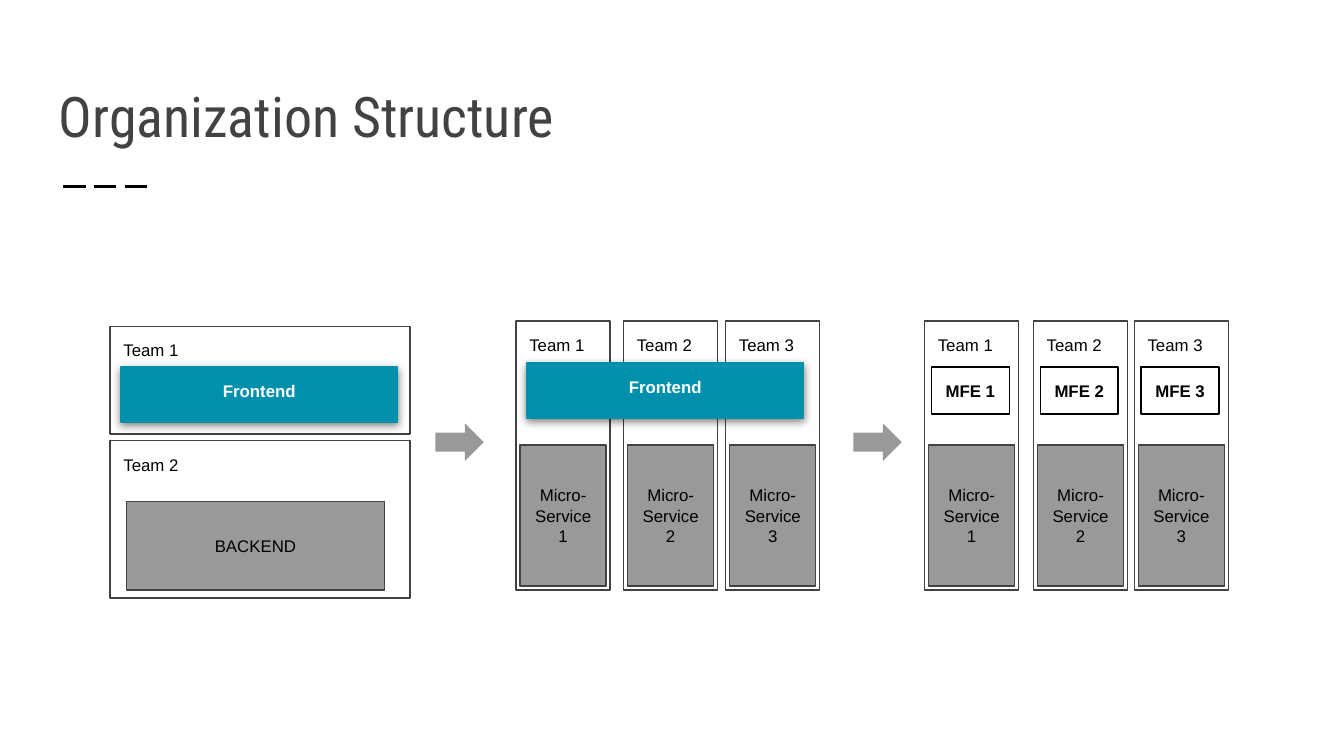
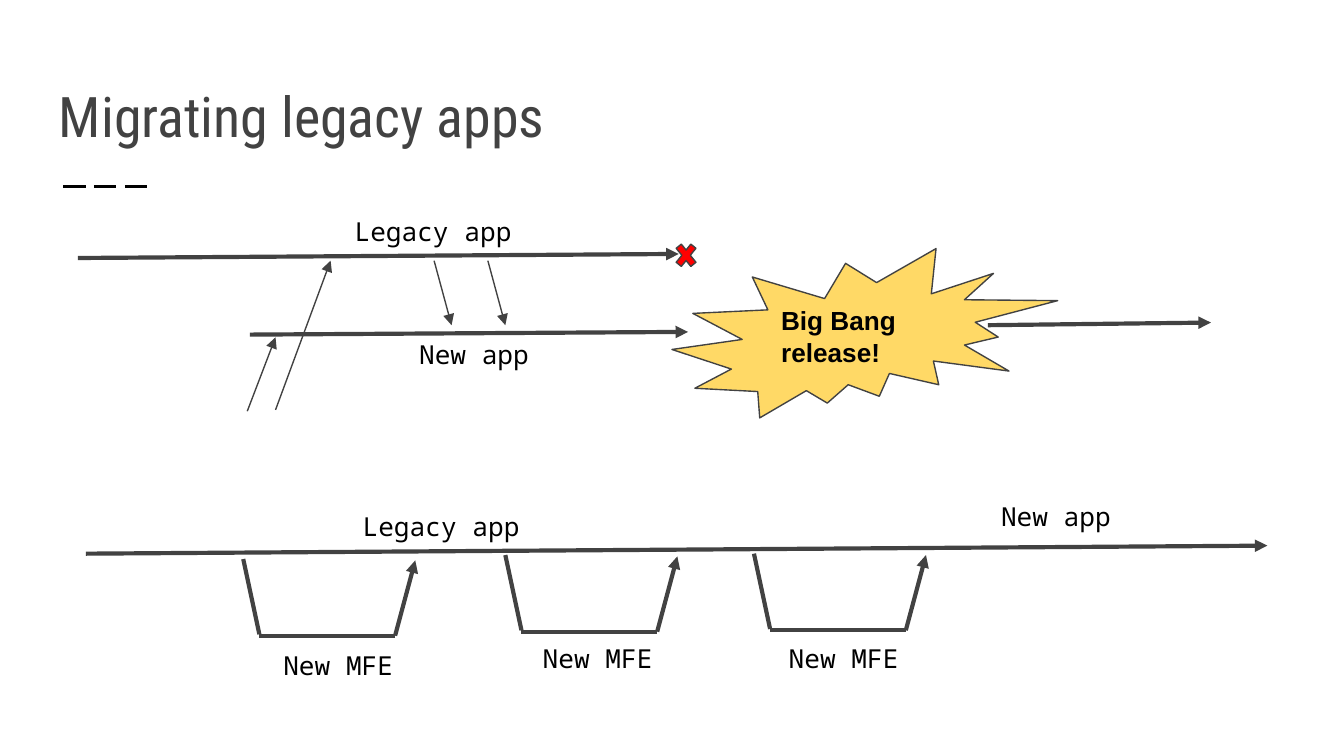
"""Build two slides on team organization and the migration of legacy apps."""
from lxml import etree
from pptx import Presentation
from pptx import util as u
from pptx.dml.color import RGBColor
from pptx.enum import dml, shapes, text
from pptx.oxml.ns import qn

PX = 9144
BLACK = RGBColor(0x00, 0x00, 0x00)
WHITE = RGBColor(0xFF, 0xFF, 0xFF)
DARK = RGBColor(0x42, 0x42, 0x42)
GRAY = RGBColor(0x99, 0x99, 0x99)
TEAL = RGBColor(0x00, 0x90, 0xAC)
YELLOW = RGBColor(0xFF, 0xD9, 0x66)
RED = RGBColor(0xFF, 0x00, 0x00)
BODY, MONO, HEADING = "Arial", "Noto Sans Mono", "Roboto Condensed"
SHAPE = shapes.MSO_SHAPE
TOP, MIDDLE, BOTTOM = (text.MSO_ANCHOR.TOP, text.MSO_ANCHOR.MIDDLE,
                       text.MSO_ANCHOR.BOTTOM)
LEFT, CENTER = text.PP_ALIGN.LEFT, text.PP_ALIGN.CENTER


def emu(*lengths):
    return [u.Emu(n * PX) for n in lengths]


def write(sp, content, size=9, font=BODY, color=BLACK, bold=False,
          align=LEFT, anchor=TOP):
    tf = sp.text_frame
    tf.word_wrap = True
    tf.vertical_anchor = anchor
    tf.margin_left = tf.margin_right = tf.margin_top = tf.margin_bottom = u.Emu(10 * PX)
    for i, line in enumerate(content.split("\n")):
        p = tf.add_paragraph() if i else tf.paragraphs[0]
        p.alignment = align
        r = p.add_run()
        r.text = line
        r.font.size = u.Pt(size)
        r.font.name = font
        r.font.bold = bold
        r.font.color.rgb = color


def add_shape(s, kind, box, fill, line=None):
    sp = s.shapes.add_shape(kind, *emu(*box))
    sp.shadow.inherit = False
    sp.fill.solid()
    sp.fill.fore_color.rgb = fill
    if line is None:
        sp.line.fill.background()
    else:
        sp.line.color.rgb = line
        sp.line.width = u.Pt(0.75)
    return sp


def add_box(s, box, content, fill=WHITE, line=DARK, **style):
    sp = add_shape(s, SHAPE.RECTANGLE, box, fill, line)
    write(sp, content, **style)
    return sp


def add_label(s, x, y, w, content):
    sp = s.shapes.add_textbox(*emu(x, y, w, 44))
    write(sp, content, size=14, font=MONO)
    sp.text_frame.auto_size = text.MSO_AUTO_SIZE.SHAPE_TO_FIT_TEXT


def add_line(s, start, end, width=2.25, color=DARK, arrow=True):
    cn = s.shapes.add_connector(shapes.MSO_CONNECTOR.STRAIGHT, *emu(*start, *end))
    cn.line.color.rgb = color
    cn.line.width = u.Pt(width)
    etree.SubElement(cn._element.spPr, qn("a:effectLst"))
    if arrow:
        etree.SubElement(cn.line._get_or_add_ln(), qn("a:tailEnd"), type="triangle")
    return cn


def add_slide(prs, title):
    s = prs.slides.add_slide(prs.slide_layouts[6])
    rule = add_line(s, (47, 139), (114, 139), 1.5, BLACK, arrow=False)
    rule.line.dash_style = dml.MSO_LINE.LONG_DASH
    sp = s.shapes.add_textbox(*emu(34, 41, 932, 80))
    write(sp, title, size=30, font=HEADING, color=DARK, anchor=BOTTOM)
    return s


def add_frontend(s, x, y):
    sp = add_box(s, (x, y, 206, 41), "Frontend", TEAL, TEAL,
                 color=WHITE, bold=True, align=CENTER)
    effects = sp._element.spPr.find(qn("a:effectLst"))
    shadow = etree.SubElement(effects, qn("a:outerShdw"), blurRad=str(u.Pt(4.5)),
                              dist=str(u.Pt(1.5)), dir="5400000", algn="bl",
                              rotWithShape="0")
    tint = etree.SubElement(shadow, qn("a:srgbClr"), val=str(BLACK))
    etree.SubElement(tint, qn("a:alpha"), val="50000")


def add_teams(s, columns, services):
    for n, (x, service) in enumerate(zip(columns, services), 1):
        add_box(s, (x, 239, 70, 200), f"Team {n}")
        add_box(s, (x + 3, 331, 64, 105), service, GRAY, align=CENTER, anchor=MIDDLE)


def add_detour(s, x, y):
    add_line(s, (x, y), (x + 12, y + 56), arrow=False)
    add_line(s, (x + 12, y + 57), (x + 113, y + 57), arrow=False)
    add_line(s, (x + 113, y + 57), (x + 128, y + 1))


def organization_slide(prs):
    s = add_slide(prs, "Organization Structure")
    add_box(s, (82, 243, 223, 80), "Team 1")
    add_box(s, (82, 328, 223, 117), "Team 2")
    add_box(s, (94, 373, 192, 66), "BACKEND", GRAY, align=CENTER, anchor=MIDDLE)
    add_frontend(s, 90, 273)

    services = [f"Micro-\nService\n{n}" for n in (1, 2, 3)]
    add_teams(s, (384, 464, 540), ["Micro-\nService 1"] + services[1:])
    add_frontend(s, 392, 270)

    mfe_columns = (688, 769, 844)
    add_teams(s, mfe_columns, services)
    for n, x in enumerate(mfe_columns, 1):
        add_box(s, (x + 5, 273, 58, 35), f"MFE {n}", line=BLACK,
                bold=True, align=CENTER, anchor=MIDDLE)

    for x in (324, 635):
        add_shape(s, SHAPE.RIGHT_ARROW, (x, 315, 36, 28), GRAY)


def migration_slide(prs):
    s = add_slide(prs, "Migrating legacy apps")
    add_line(s, (58, 192), (505, 189))
    add_line(s, (186, 249), (512, 247))
    add_label(s, 254, 150, 150, "Legacy app")
    add_label(s, 302, 242, 134, "New app")
    burst = add_shape(s, SHAPE.EXPLOSION2, (500, 185, 287, 126), YELLOW, DARK)
    write(burst, "Big Bang release!", size=14, bold=True, anchor=MIDDLE)
    add_line(s, (735, 242), (901, 240))
    cross = add_shape(s, SHAPE.MATH_MULTIPLY, (500, 177, 21, 26), RED, DARK)
    cross.adjustments[0] = 0.235
    for start, end in (((323, 194), (336, 242)), ((363, 194), (376, 242)),
                       ((184, 306), (205, 251)), ((205, 305), (246, 194))):
        add_line(s, start, end, 0.75)

    add_line(s, (64, 412), (943, 406))
    add_label(s, 260, 370, 150, "Legacy app")
    add_label(s, 735, 362, 150, "New app")
    for start, label in (((181, 416), (201, 473)), ((376, 413), (394, 468)),
                         ((561, 412), (577, 468))):
        add_detour(s, *start)
        add_label(s, *label, 134, "New MFE")


def main():
    prs = Presentation()
    prs.slide_width = u.Emu(1000 * PX)
    prs.slide_height = u.Emu(prs.slide_width * 9 // 16)
    organization_slide(prs)
    migration_slide(prs)
    prs.save("out.pptx")


if __name__ == "__main__":
    main()
